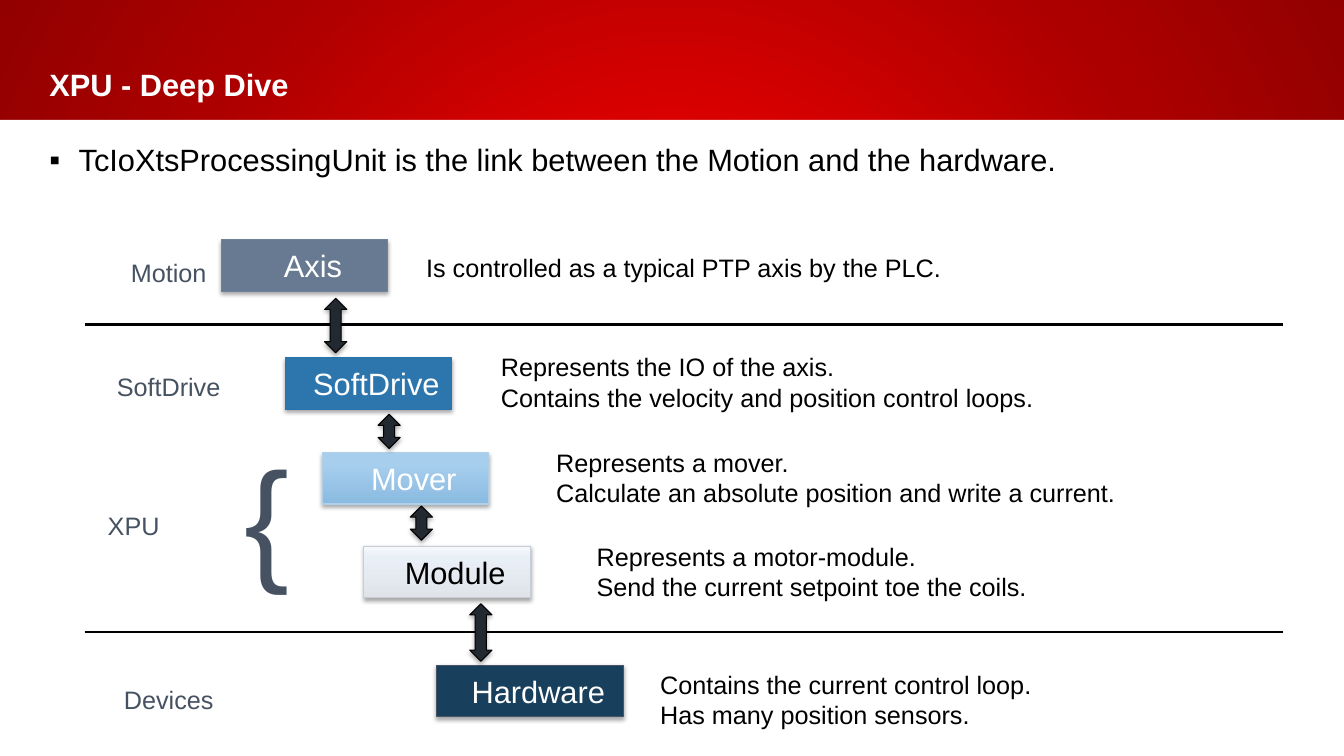
"""Build the XPU deep dive slide: a staircase of layers from motion to hardware."""
from lxml import etree
from pptx import Presentation
from pptx.dml.color import RGBColor
from pptx.enum.shapes import MSO_CONNECTOR, MSO_SHAPE
from pptx.enum.text import MSO_ANCHOR, MSO_AUTO_SIZE, PP_ALIGN
from pptx.oxml.ns import qn
from pptx.util import Inches, Pt

RECT, ROUND, ARROW = MSO_SHAPE.RECTANGLE, MSO_SHAPE.ROUNDED_RECTANGLE, MSO_SHAPE.UP_DOWN_ARROW
STRAIGHT = MSO_CONNECTOR.STRAIGHT
TOP, MIDDLE, BOTTOM = MSO_ANCHOR.TOP, MSO_ANCHOR.MIDDLE, MSO_ANCHOR.BOTTOM
LEFT, CENTER = PP_ALIGN.LEFT, PP_ALIGN.CENTER
GROW = MSO_AUTO_SIZE.SHAPE_TO_FIT_TEXT

TITLE = "XPU - Deep Dive"
INTRO = "TcIoXtsProcessingUnit is the link between the Motion and the hardware."
BANNER = [(0, "EF0000"), (16, "EF0000"), (69, "AC0000"), (100, "920000")]
MOVER = [(0, "8BBBE1"), (80, "A7CEED"), (100, "A7D0EF")]
MODULE = [(0, "E0E4E9"), (78, "E9EFF7"), (100, "F6F9FC")]
WHITE, BLACK, SLATE, INK = "FFFFFF", "000000", "465262", "232931"

# Positions are percentages of the slide's width and height.
LAYERS = [
    ("Axis", 16.5, 31.73, 12.37, "687A92", "708299", WHITE, 30.97, 32.67,
     ["Is controlled as a typical PTP axis by the PLC."]),
    ("SoftDrive", 21.22, 47.33, 12.37, "2D76AD", "2974AC", WHITE, 36.53, 45.87,
     ["Represents the IO of the axis.", "Contains the velocity and position control loops."]),
    ("Mover", 24, 59.87, 12.37, MOVER, "B0CFE8", WHITE, 40.65, 58.53,
     ["Represents a mover.", "Calculate an absolute position and write a current."]),
    ("Module", 27.08, 72.27, 12.37, MODULE, "C7CDD6", BLACK, 43.65, 70.93,
     ["Represents a motor-module.", "Send the current setpoint toe the coils."]),
    ("Hardware", 32.47, 88, 13.95, "183F5C", "495467", WHITE, 48.38, 87.87,
     ["Contains the current control loop.", "Has many position sensors."]),
]
LABELS = [("Motion", 9, 33.33, 7.2), ("SoftDrive", 7.95, 48.4, 9.3),
          ("XPU", 7.28, 66.8, 5.4), ("Devices", 8.48, 89.87, 8.25)]
ARROWS = [(24.15, 39.47, 7.2), (28.13, 54.8, 4.53), (30.53, 66.93, 4.53), (34.95, 79.87, 7.6)]
DIVIDERS = [42.93, 83.6]
RULE_LEFT, RIGHT, HEADER, TEXT_WIDTH = 6.3, 95.48, 15.87, 83.18
BOX_HEIGHT, ARROW_WIDTH, LINE_HEIGHT, PADDING = 6.8, 1.65, 4.14, 1.19

prs = Presentation()
prs.slide_width, prs.slide_height = Inches(13.33), Inches(7.5)
s = prs.slides.add_slide(prs.slide_layouts[6])


def color(value):
    """Return the colour for a hex string."""
    return RGBColor.from_string(value)


def place(x, y, w, h):
    """Turn percentages of the slide into lengths."""
    return [round(share * size / 100) for share, size in
            zip((x, y, w, h), (prs.slide_width, prs.slide_height) * 2)]


def add(parent, tag, **attrs):
    """Append a drawing element with attributes."""
    return etree.SubElement(parent, qn("a:" + tag), {k: str(v) for k, v in attrs.items()})


def paint(sp, fill, radial=False):
    """Fill a shape with one colour or with gradient stops."""
    if isinstance(fill, str):
        sp.fill.solid()
        sp.fill.fore_color.rgb = color(fill)
        return
    sp.fill.gradient()
    grad = sp._element.spPr.find(qn("a:gradFill"))
    for child in list(grad):
        grad.remove(child)
    stops = add(grad, "gsLst")
    for pos, value in fill:
        add(add(stops, "gs", pos=pos * 1000), "srgbClr", val=value)
    if radial:
        add(add(grad, "path", path="circle"), "fillToRect", l=50000, t=50000, r=50000, b=50000)
    else:
        add(grad, "lin", ang=16200000, scaled=0)


def shape(kind, box, fill, line=None, radial=False):
    """Add a filled shape; an outlined one also gets a soft shadow."""
    sp = s.shapes.add_shape(kind, *place(*box))
    paint(sp, fill, radial)
    sp.shadow.inherit = False
    if line is None:
        sp.line.fill.background()
        return sp
    sp.line.color.rgb, sp.line.width = color(line), Pt(0.75)
    effects = sp._element.spPr.find(qn("a:effectLst"))
    shadow = add(effects, "outerShdw", blurRad=40000, dist=23000, dir=5400000, rotWithShape=0)
    add(add(shadow, "srgbClr", val=BLACK), "alpha", val=35000)
    return sp


def write(sp, lines, size, ink, anchor=TOP, align=LEFT, insets=(0.1, 0.05, 0.1, 0.05),
          bold=False, **frame):
    """Write lines into a shape and return its paragraphs."""
    tf = sp.text_frame
    sides = ("margin_left", "margin_top", "margin_right", "margin_bottom")
    fmt = {"word_wrap": True, "vertical_anchor": anchor, **frame}
    fmt.update(zip(sides, map(Inches, insets)))
    for name, value in fmt.items():
        setattr(tf, name, value)
    for i, line in enumerate(lines):
        p = tf.add_paragraph() if i else tf.paragraphs[0]
        p.alignment = align
        r = p.add_run()
        r.text = line
        for name, value in {"name": "Arial", "size": Pt(size), "bold": bold}.items():
            setattr(r.font, name, value)
        r.font.color.rgb = color(ink)
    return tf.paragraphs


def text(box, lines, size, ink, **fmt):
    """Add a text box."""
    return write(s.shapes.add_textbox(*place(*box)), lines, size, ink, **fmt)


shape(RECT, (0, 0, 100, 100), BANNER, radial=True)
shape(RECT, (0, HEADER, 100, 100 - HEADER), WHITE)
text((0, 6.53, TEXT_WIDTH, 9.2), [TITLE], 22, WHITE, anchor=BOTTOM, bold=True,
     insets=(0.49, 0.16, 0.1, 0.16), auto_size=GROW)
intro = text((0, HEADER, TEXT_WIDTH, 77.73), [INTRO], 22, BLACK, insets=(0.49, 0.21, 0.1, 0.05))
pPr = intro[0]._p.get_or_add_pPr()
pPr.set("marL", str(Inches(0.29)))
pPr.set("indent", str(-Inches(0.29)))
add(pPr, "buFont", typeface="Arial")
add(pPr, "buChar", char="▪")

for y in DIVIDERS:
    x1, y1, x2, _ = place(RULE_LEFT, y, RIGHT, 0)
    rule = s.shapes.add_connector(STRAIGHT, x1, y1, x2, y1)
    rule.line.color.rgb, rule.line.width = color(BLACK), Pt(1.5)
    add(rule._element.spPr, "effectLst")

for name, x, y, w, fill, line, ink, note_x, note_y, notes in LAYERS:
    sp = shape(ROUND, (x, y, w, BOX_HEIGHT), fill, line)
    sp.adjustments[0] = 0
    write(sp, [name], 22, ink, anchor=MIDDLE, align=CENTER, insets=(0.26, 0.05, 0.1, 0.05))
    height = PADDING + LINE_HEIGHT * len(notes)
    text((note_x, note_y, RIGHT - note_x, height), notes, 18, BLACK, auto_size=GROW)

for x, y, h in ARROWS:
    shape(ARROW, (x, y, ARROW_WIDTH, h), INK, BLACK)

for name, x, y, w in LABELS:
    text((x, y, w, PADDING + LINE_HEIGHT), [name], 18, SLATE, anchor=MIDDLE,
         word_wrap=False, auto_size=GROW)
text((17.48, 56.53, 4.65, 22.93), ["{"], 96, SLATE, anchor=MIDDLE, auto_size=GROW)

prs.save("out.pptx")
